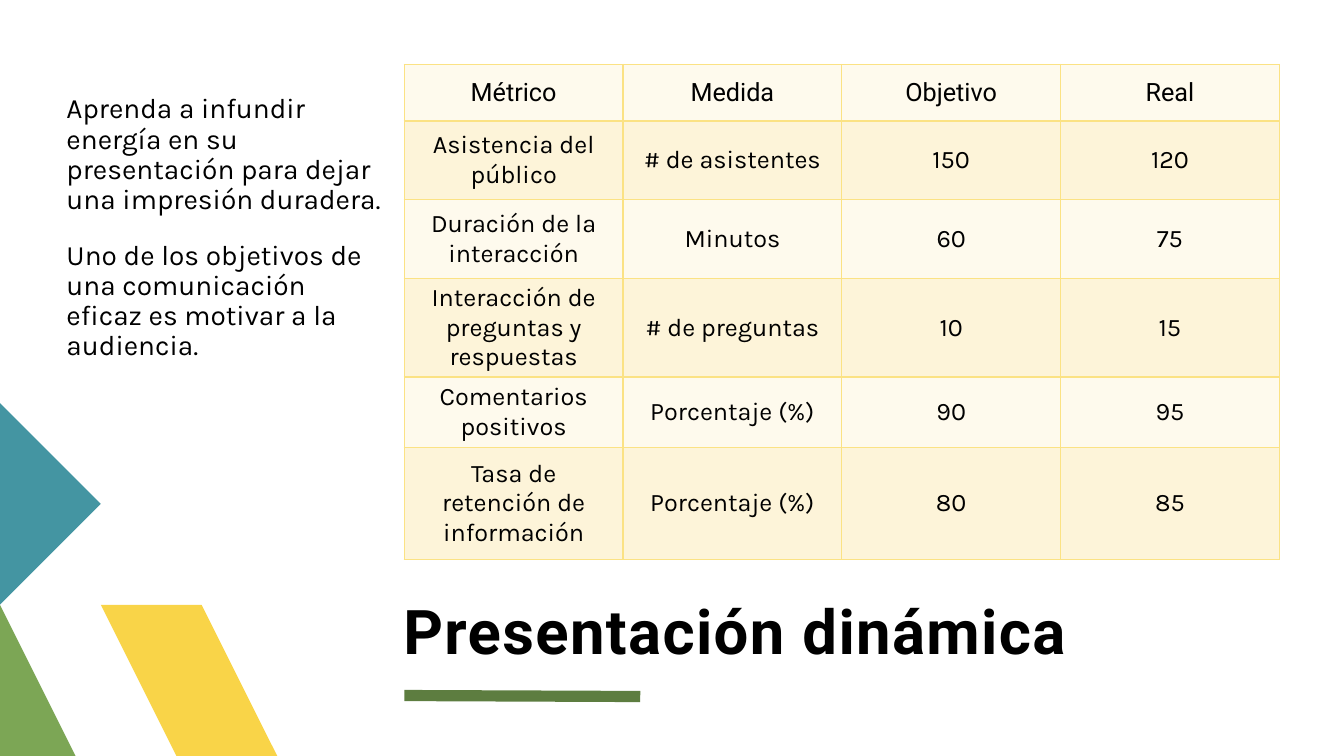
"""Build a slide with a metrics table, an introduction and corner decoration."""
from dataclasses import dataclass

from lxml import etree
from pptx import Presentation
from pptx.dml.color import RGBColor
from pptx.enum import shapes, text
from pptx.oxml import ns
from pptx import util as u

BLACK = RGBColor(0x00, 0x00, 0x00)
YELLOW = RGBColor(0xF9, 0xD4, 0x48)
GREEN = RGBColor(0x7C, 0xA6, 0x55)
TEAL = RGBColor(0x44, 0x95, 0xA2)
RULE_GREEN = RGBColor(0x5D, 0x7D, 0x40)
CREAM = RGBColor(0xFE, 0xFA, 0xED)
SAND = RGBColor(0xFD, 0xF4, 0xD9)
BORDER = RGBColor(0xFB, 0xE2, 0x84)

HEADING_FONT = "Roboto"
BODY_FONT = "Karla"


@dataclass(frozen=True)
class Polygon:
    points: tuple[tuple[float, float], ...]
    color: RGBColor


@dataclass(frozen=True)
class MetricRow:
    height: float
    values: tuple[str, str, str, str]


DECORATIONS = (
    Polygon(((3.24, 7.5), (2.15, 7.5), (1.06, 6.41), (1.61, 5.87)), YELLOW),
    Polygon(((1.06, 7.5), (0, 7.5), (0, 6.44)), GREEN),
    Polygon(((0, 4.27), (1.06, 5.33), (0, 6.39)), TEAL),
)
INTRODUCTION = (
    "Aprenda a infundir energía en su presentación para dejar una impresión duradera.",
    "Uno de los objetivos de una comunicación eficaz es motivar a la audiencia.",
)
METRICS = (
    MetricRow(0.56, ("Métrico", "Medida", "Objetivo", "Real")),
    MetricRow(0.78, ("Asistencia del público", "# de asistentes", "150", "120")),
    MetricRow(0.78, ("Duración de la interacción", "Minutos", "60", "75")),
    MetricRow(0.98, ("Interacción de preguntas y respuestas", "# de preguntas", "10", "15")),
    MetricRow(0.7, ("Comentarios positivos", "Porcentaje (%)", "90", "95")),
    MetricRow(1.11, ("Tasa de retención de información", "Porcentaje (%)", "80", "85")),
)
COLUMN_WIDTH = 2.17


def add_span(para, words: str, font: str, size: float):
    span = para.add_run()
    span.text = words
    span.font.name = font
    span.font.size = u.Pt(size)
    span.font.color.rgb = BLACK
    return span


def set_frame(frame, left: float, top: float, right: float, bottom: float) -> None:
    frame.word_wrap = True
    frame.auto_size = text.MSO_AUTO_SIZE.NONE
    frame.margin_left = u.Inches(left)
    frame.margin_top = u.Inches(top)
    frame.margin_right = u.Inches(right)
    frame.margin_bottom = u.Inches(bottom)


def place(shape, left: float, top: float, width: float, height: float) -> None:
    shape.left, shape.top = u.Inches(left), u.Inches(top)
    shape.width, shape.height = u.Inches(width), u.Inches(height)


def add_polygon(page, polygon: Polygon) -> None:
    start, *others = polygon.points
    builder = page.shapes.build_freeform(*start, scale=u.Inches(1))
    builder.add_line_segments(others, close=True)
    shape = builder.convert_to_shape()
    shape.shadow.inherit = False
    shape.fill.solid()
    shape.fill.fore_color.rgb = polygon.color
    shape.line.fill.background()


def add_rule(page) -> None:
    rule = page.shapes.add_connector(
        shapes.MSO_CONNECTOR.STRAIGHT,
        u.Inches(4.01), u.Inches(6.9), u.Inches(6.35), u.Inches(6.91),
    )
    rule.line.color.rgb = RULE_GREEN
    rule.line.width = u.Pt(8)
    etree.SubElement(rule._element.spPr, ns.qn("a:effectLst"))


def format_title(title) -> None:
    place(title, 4, 5.1, 8.68, 1.51)
    frame = title.text_frame
    set_frame(frame, 0, 0, 0, 0)
    frame.vertical_anchor = text.MSO_ANCHOR.BOTTOM
    para = frame.paragraphs[0]
    para.alignment = text.PP_ALIGN.LEFT
    para.line_spacing = 0.8
    span = add_span(para, "Presentación dinámica", HEADING_FONT, 44)
    span.font.bold = True
    span._r.get_or_add_rPr().set("spc", "100")


def add_introduction(page) -> None:
    box = page.shapes.add_textbox(
        u.Inches(0.66), u.Inches(0.64), u.Inches(3.27), u.Inches(4.37)
    )
    frame = box.text_frame
    set_frame(frame, 0, 0.3, 0.1, 0.05)
    for index, words in enumerate(INTRODUCTION):
        para = frame.add_paragraph() if index else frame.paragraphs[0]
        para.line_spacing = 0.9
        para.space_before = u.Pt(18)
        add_span(para, words, BODY_FONT, 20)


def add_borders(cell) -> None:
    properties = cell._tc.get_or_add_tcPr()
    for index, side in enumerate(("lnL", "lnR", "lnT", "lnB")):
        line = etree.Element(ns.qn(f"a:{side}"), w=str(u.Pt(1)))
        fill = etree.SubElement(line, ns.qn("a:solidFill"))
        etree.SubElement(fill, ns.qn("a:srgbClr"), val=str(BORDER))
        properties.insert(index, line)


def add_metrics(page) -> None:
    columns = len(METRICS[0].values)
    table = page.shapes.add_table(
        len(METRICS), columns, u.Inches(4.01), u.Inches(0.64),
        u.Inches(columns * COLUMN_WIDTH), u.Inches(sum(row.height for row in METRICS)),
    ).table
    table.first_row = False
    table.horz_banding = False
    for column in table.columns:
        column.width = u.Inches(COLUMN_WIDTH)
    for row_index, metric in enumerate(METRICS):
        table.rows[row_index].height = u.Inches(metric.height)
        for column_index, words in enumerate(metric.values):
            cell = table.cell(row_index, column_index)
            cell.vertical_anchor = text.MSO_ANCHOR.MIDDLE
            cell.fill.solid()
            cell.fill.fore_color.rgb = SAND if row_index % 2 else CREAM
            add_borders(cell)
            para = cell.text_frame.paragraphs[0]
            para.alignment = text.PP_ALIGN.CENTER
            add_span(para, words, BODY_FONT if row_index else HEADING_FONT, 18)


def main() -> None:
    deck = Presentation()
    deck.slide_width, deck.slide_height = u.Inches(13.33), u.Inches(7.5)
    page = deck.slides.add_slide(deck.slide_layouts.get_by_name("Title Only"))
    for polygon in DECORATIONS:
        add_polygon(page, polygon)
    add_rule(page)
    format_title(page.shapes.title)
    add_introduction(page)
    add_metrics(page)
    deck.save("out.pptx")


if __name__ == "__main__":
    main()
